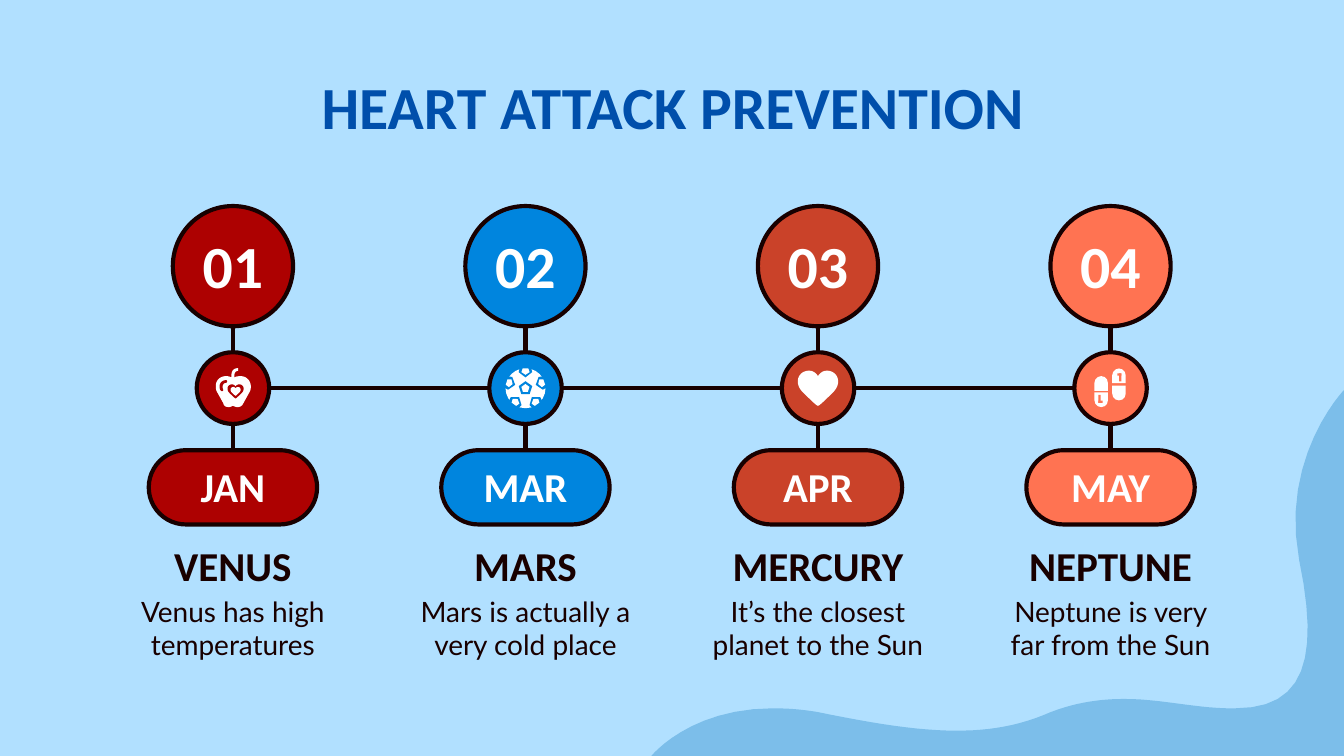
"""Build a four-step heart attack prevention timeline slide."""
from math import cos, pi, sin

from lxml.etree import SubElement
from pptx import Presentation
from pptx.dml.color import RGBColor
from pptx.enum.shapes import MSO_CONNECTOR, MSO_SHAPE
from pptx.enum.text import MSO_ANCHOR, PP_ALIGN
from pptx.oxml.ns import qn
from pptx.util import Pt

DARK, WHITE = "180000", "FFFFFF"
color = RGBColor.from_string


def paint(shape, fill, outlined=False):
    shape.shadow.inherit = False
    shape.fill.solid()
    shape.fill.fore_color.rgb = color(fill)
    if outlined:
        shape.line.color.rgb = color(DARK)
        shape.line.width = Pt(2.25)
    else:
        shape.line.fill.background()


def draw_outline(x, y, fill, start, segments, scale=1):
    """Fill an outline whose segments are line ends (2 numbers) or cubic curves (6)."""
    points = [start]
    for segment in segments:
        if len(segment) == 2:
            points.append(segment)
            continue
        a, b = points[-1]
        c, d, e, f, g, h = segment
        for step in range(1, 13):
            t = step / 12
            u = 1 - t
            points.append((u**3 * a + 3 * u * u * t * c + 3 * u * t * t * e + t**3 * g,
                           u**3 * b + 3 * u * u * t * d + 3 * u * t * t * f + t**3 * h))
    ends = [(Pt(x + px * scale), Pt(y + py * scale)) for px, py in points]
    builder = page.shapes.build_freeform(*ends[0], scale=1.0)
    builder.add_line_segments(ends[1:], close=True)
    paint(builder.convert_to_shape(), fill)


deck = Presentation()
deck.slide_width, deck.slide_height = Pt(720), Pt(405)
page = deck.slides.add_slide(deck.slide_layouts[5])
page.background.fill.solid()
page.background.fill.fore_color.rgb = color("B1E0FF")

wave = [
    (720, 209, 685.5, 245, 696, 300), (707, 353, 699, 379.5, 662, 379.5),
    (657, 379.5), (638.5, 379, 621, 374.5, 602.5, 374.5),
    (590.5, 374.5, 577.5, 376, 563, 381.5), (546, 389, 530, 391.5, 512.5, 391.5),
    (492.5, 391.5, 469.5, 388, 438, 381.5), (429, 380, 421, 379.5, 414, 379.5),
    (369.5, 379.5, 349, 405, 349, 405), (720, 405),
]
draw_outline(0, 0, "7CBEEA", (720, 209), wave)

steps = [
    ("01", "JAN", "VENUS", "Venus has high temperatures", "AD0101"),
    ("02", "MAR", "MARS", "Mars is actually a very cold place", "0085DE"),
    ("03", "APR", "MERCURY", "It’s the closest planet to the Sun", "CA4229"),
    ("04", "MAY", "NEPTUNE", "Neptune is very far from the Sun", "FF7352"),
]
centers = [124.8 + 156.72 * index for index in range(len(steps))]
middle = 208

lines = [(x, 175, x, 247) for x in centers] + [(144, middle, 576, middle)]
for line in lines:
    connector = page.shapes.add_connector(MSO_CONNECTOR.STRAIGHT, *map(Pt, line))
    connector.line.color.rgb = color(DARK)
    connector.line.width = Pt(2.25)
    SubElement(connector._element.spPr, qn("a:effectLst"))

title = page.shapes.title
title.left, title.top, title.width, title.height = Pt(57), Pt(30.2), Pt(607), Pt(46.8)
heading_font = {"name": "Calibri", "bold": True}
large = {**heading_font, "size": Pt(32)}
medium = {**heading_font, "size": Pt(22)}
small = {"name": "Lato", "bold": False, "size": Pt(15)}
labels = [(title, "HEART ATTACK PREVENTION", large, "004FAB", MSO_ANCHOR.TOP, 7.2, 7.2)]

for x, (number, month, planet, note, fill) in zip(centers, steps):
    for words, top, height, style in [(planet, 288, 29.5, medium), (note, 316.8, 39, small)]:
        box = page.shapes.add_textbox(Pt(x - 68), Pt(top), Pt(136), Pt(height))
        labels.append((box, words, style, DARK, MSO_ANCHOR.MIDDLE, 7.2, 7.2))
    for kind, top, width, height, words, style, side in [
        (MSO_SHAPE.OVAL, 110.4, 64.4, 64.4, number, large, 0),
        (MSO_SHAPE.OVAL, 188.7, 38.8, 38.4, "", medium, 0),
        (MSO_SHAPE.ROUNDED_RECTANGLE, 241.2, 90.2, 39.8, month, medium, 7.2),
    ]:
        badge = page.shapes.add_shape(kind, Pt(x - width / 2), Pt(top), Pt(width), Pt(height))
        paint(badge, fill, outlined=True)
        if kind == MSO_SHAPE.ROUNDED_RECTANGLE:
            badge.adjustments[0] = 0.5
        if words:
            labels.append((badge, words, style, WHITE, MSO_ANCHOR.MIDDLE, side, 6))

for box, words, style, ink, anchor, side, top in labels:
    frame = box.text_frame
    for name, value in {"word_wrap": True, "vertical_anchor": anchor,
                        "margin_left": Pt(side), "margin_right": Pt(side),
                        "margin_top": Pt(top), "margin_bottom": Pt(7.2)}.items():
        setattr(frame, name, value)
    para = frame.paragraphs[0]
    para.alignment = PP_ALIGN.CENTER
    span = para.add_run()
    span.text = words
    for name, value in style.items():
        setattr(span.font, name, value)
    span.font.color.rgb = color(ink)

apple_x, ball_x, heart_x, pills_x = centers
red, blue, _, coral = [step[-1] for step in steps]

apple = [
    (0.5, -10.8, -0.8, -9.3, -0.8, -7.2), (-0.8, -5.8),
    (-1.6, -6.3, -2.8, -6.5, -3.6, -6.5), (-8, -6.5, -10.2, -2.8, -8.8, 1.5),
    (-5.2, 8), (-5, 9.4, -3.8, 10.1, -2.4, 10.1), (-1.5, 10.1, -0.8, 9.8, 0, 9.4),
    (0.8, 9.8, 1.5, 10.1, 2.6, 10.1), (3.8, 10.1, 5, 9.4, 5.6, 8), (9.2, 1.5),
    (10.6, -2.8, 8, -6.5, 4, -6.5), (2.8, -6.5, 1.6, -6.3, 0.8, -5.8),
    (0.8, -7.2), (0.8, -8.4, 1.6, -9.3, 2.8, -9.3),
]
shine = [
    (-2.9, -4.3, -2.9, -3, -3.7, -2.9), (-5.5, -2.9, -6, -0.5, -5.2, 0.7),
    (-5, 1.8, -6, 1.8, -6.6, 1.2), (-8, -1, -6.8, -4.3, -3.7, -4.3),
]
heart = [
    (0.7, -7.6, 2.2, -9.4, 4.8, -9.4), (8, -9.4, 10.8, -7.2, 10.8, -3.6),
    (10.8, 0.7, 7.2, 2.9, 2.9, 7.2), (2, 8, 0.6, 9.4, 0, 9.4),
    (-0.6, 9.4, -2, 8, -2.9, 7.2), (-7.2, 2.9, -10.8, 0.7, -10.8, -3.6),
    (-10.8, -7.2, -8, -9.4, -4.8, -9.4), (-2.2, -9.4, -0.7, -7.6, 0, -6.5),
]
draw_outline(apple_x, middle, WHITE, (2.8, -10.8), apple)
draw_outline(apple_x, middle, red, (-3.7, -4.3), shine)
for x, y, fill, scale in [(apple_x + 1.4, middle + 1.7, red, 0.4),
                          (apple_x + 1.4, middle + 1.7, WHITE, 0.25),
                          (heart_x, middle, WHITE, 1)]:
    draw_outline(x, y, fill, (0, -6.5), heart, scale)

ball = page.shapes.add_shape(MSO_SHAPE.OVAL, Pt(ball_x - 10.7), Pt(middle - 10.7), Pt(21.4), Pt(21.4))
paint(ball, WHITE)
angles = [2 * pi * index / 5 for index in range(5)]
pentagon = [(sin(angle), -cos(angle)) for angle in angles]
for fill, radius, patch in [
    (blue, 3.8, [(-3, -11.5), (-3.6, -8.6), (0, -5.8), (3.6, -8.6), (3, -11.5)]),
    (WHITE, 2.3, [(-1.5, -10.6), (-2.2, -8.6), (0, -7.2), (2.2, -8.6), (1.5, -10.6)]),
]:
    draw_outline(ball_x, middle, fill, pentagon[0], pentagon[1:], radius)
    for angle in angles:
        turned = [(px * cos(angle) - py * sin(angle), px * sin(angle) + py * cos(angle))
                  for px, py in patch]
        draw_outline(ball_x, middle, fill, turned[0], turned[1:])

half, mark = MSO_SHAPE.ROUND_2_SAME_RECTANGLE, MSO_SHAPE.RECTANGLE
for kind, left, top, width, height, fill, corners in [
    (half, -8.6, -6.5, 7.2, 7.9, WHITE, (0.5, 0)),
    (half, -8.6, 2.2, 7.2, 7.9, WHITE, (0, 0.5)),
    (half, 0.9, -10.6, 7.2, 7.9, WHITE, (0.5, 0)),
    (half, 0.9, -1.4, 7.2, 7.9, WHITE, (0, 0.5)),
    (mark, -6.5, 3.6, 1.2, 4.3, coral, ()),
    (mark, -6.5, 6.7, 2.2, 1.2, coral, ()),
    (mark, 4.6, -7.9, 1.2, 4.3, coral, ()),
    (mark, 3.6, -7.9, 2.2, 1.2, coral, ()),
]:
    part = page.shapes.add_shape(kind, Pt(pills_x + left), Pt(middle + top), Pt(width), Pt(height))
    paint(part, fill)
    for index, corner in enumerate(corners):
        part.adjustments[index] = corner

deck.save("out.pptx")
